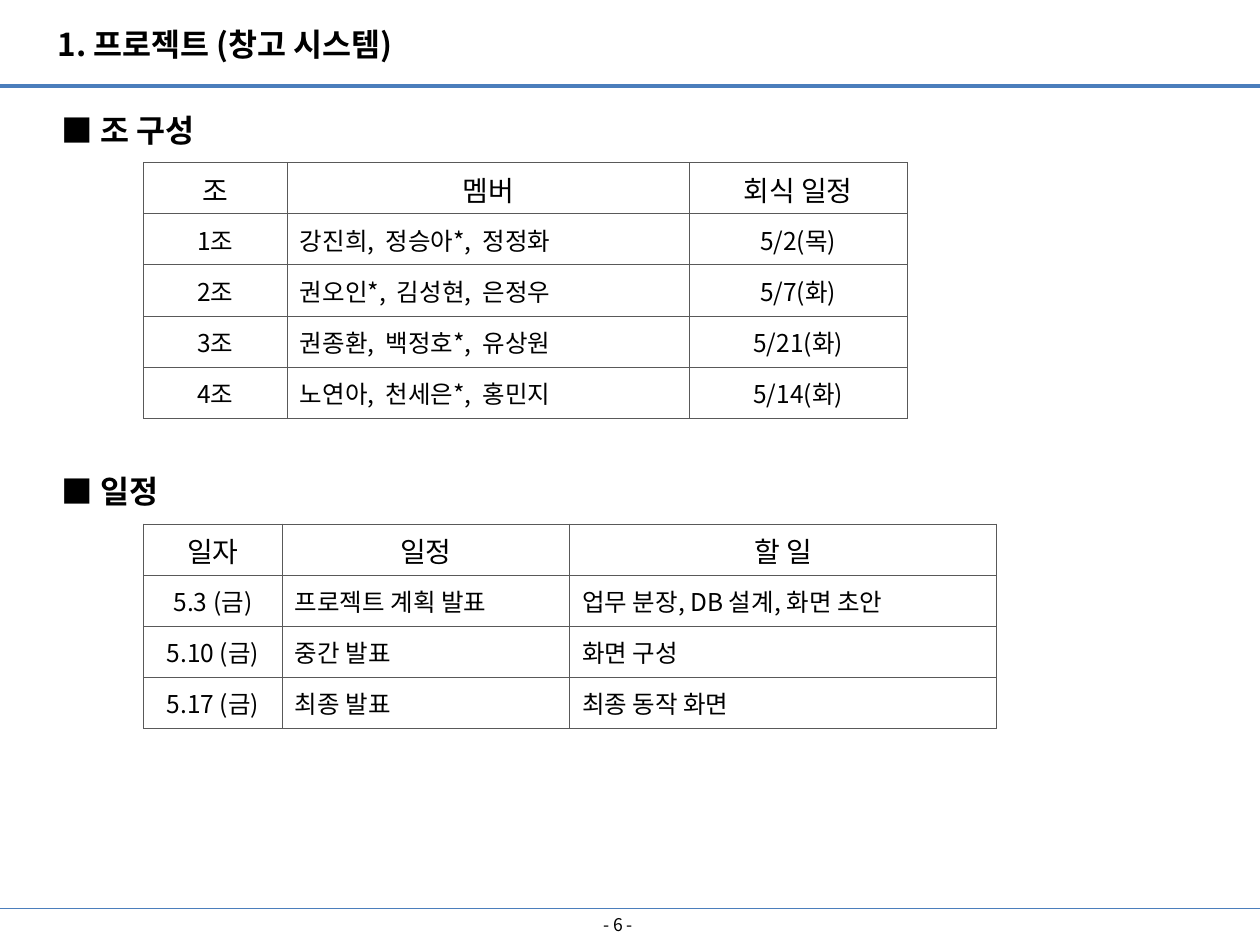
import pptx
import pptx.dml.color
import pptx.enum.shapes
import pptx.enum.text
import pptx.oxml
import pptx.oxml.ns
import pptx.util
from lxml import etree

Inches, Pt = pptx.util.Inches, pptx.util.Pt
RGBColor = pptx.dml.color.RGBColor
PP_ALIGN = pptx.enum.text.PP_ALIGN
MSO_ANCHOR = pptx.enum.text.MSO_ANCHOR
qn = pptx.oxml.ns.qn

BLACK = RGBColor(0, 0, 0)
BLUE = RGBColor(0x4B, 0x7E, 0xBC)
GRAY = RGBColor(0x59, 0x59, 0x59)
KOREAN, LATIN = "Noto Sans CJK KR", "Arial"


def write(p, text, size, font=KOREAN, bold=False, align=PP_ALIGN.LEFT):
    """Fill paragraph p with styled text."""
    p.text = text
    p.alignment = align
    p.font.size = Pt(size)
    p.font.bold = bold
    p.font.color.rgb = BLACK
    p.font.name = font
    latin = p.font._element.find(qn("a:latin"))
    ea = etree.Element(qn("a:ea"), typeface=KOREAN)
    latin.addnext(ea)


def add_text(s, box, text, size, wrap=False, spacing=None,
             anchor=MSO_ANCHOR.TOP, **style):
    """Add a one-paragraph text box."""
    sp = s.shapes.add_textbox(*map(Inches, box))
    tf = sp.text_frame
    tf.word_wrap = wrap
    tf.vertical_anchor = anchor
    p = tf.paragraphs[0]
    write(p, text, size, **style)
    if spacing:
        p.line_spacing = spacing


def add_rule(s, top, width):
    """Draw a blue line across the slide."""
    line = s.shapes.add_connector(pptx.enum.shapes.MSO_CONNECTOR.STRAIGHT,
                                  0, Inches(top), Inches(10), Inches(top))
    line.line.color.rgb = BLUE
    line.line.width = Pt(width)
    etree.SubElement(line._element.spPr, qn("a:effectLst"))


def add_borders(cell):
    """Give a cell a thin gray line on all four sides."""
    tcPr = cell._tc.get_or_add_tcPr()
    for i, side in enumerate(("lnL", "lnR", "lnT", "lnB")):
        ln = etree.Element(qn("a:" + side), w=str(Pt(0.5)))
        fill = etree.SubElement(ln, qn("a:solidFill"))
        etree.SubElement(fill, qn("a:srgbClr"), val=str(GRAY))
        tcPr.insert(i, ln)


def add_grid(s, left, top, height, widths, rows, centered):
    """Add a bordered table; body columns in centered are centred."""
    shape = s.shapes.add_table(len(rows), len(widths), Inches(left), Inches(top),
                               Inches(sum(widths)), Inches(height))
    table = shape.table
    table.first_row = table.horz_banding = False
    for column, width in zip(table.columns, widths):
        column.width = Inches(width)
    for i, row in enumerate(rows):
        for j, text in enumerate(row):
            cell = table.cell(i, j)
            cell.fill.background()
            add_borders(cell)
            header = i == 0
            cell.vertical_anchor = MSO_ANCHOR.TOP if header else MSO_ANCHOR.MIDDLE
            align = PP_ALIGN.CENTER if header or j in centered else PP_ALIGN.LEFT
            write(cell.text_frame.paragraphs[0], text, 16 if header else 14, align=align)


def add_section(s, top, title, height, widths, rows, centered):
    """Add a section heading with its table below."""
    add_text(s, (0.39, top, 1.4, 0.53), "■ " + title, 18, spacing=1.5,
             font=LATIN, bold=True)
    add_grid(s, 1.14, top + 0.61, height, widths, rows, centered)


def add_frame(s, title, number):
    """Add the title, the two rules and the page number."""
    add_rule(s, 0.68, 2.25)
    add_rule(s, 7.21, 0.75)
    add_text(s, (0.36, 0.15, 3.14, 0.4), title, 18, bold=True)
    add_text(s, (3.74, 7.21, 2.33, 0.26), f"- {number} -", 10, wrap=True,
             anchor=MSO_ANCHOR.MIDDLE, align=PP_ALIGN.CENTER)


TEAMS = [
    ("조", "멤버", "회식 일정"),
    ("1조", "강진희,  정승아*,  정정화", "5/2(목)"),
    ("2조", "권오인*,  김성현,  은정우", "5/7(화)"),
    ("3조", "권종환,  백정호*,  유상원", "5/21(화)"),
    ("4조", "노연아,  천세은*,  홍민지", "5/14(화)"),
]
SCHEDULE = [
    ("일자", "일정", "할 일"),
    ("5.3 (금)", "프로젝트 계획 발표", "업무 분장, DB 설계, 화면 초안"),
    ("5.10 (금)", "중간 발표", "화면 구성"),
    ("5.17 (금)", "최종 발표", "최종 동작 화면"),
]

prs = pptx.Presentation()
prs.slide_width, prs.slide_height = Inches(10), Inches(7.5)
s = prs.slides.add_slide(prs.slide_layouts[6])
add_frame(s, "1. 프로젝트 (창고 시스템)", 6)
add_section(s, 0.68, "조 구성", 2.03, (1.14, 3.19, 1.73), TEAMS, (0, 2))
add_section(s, 3.55, "일정", 1.62, (1.1, 2.28, 3.39), SCHEDULE, (0,))
prs.save("out.pptx")
